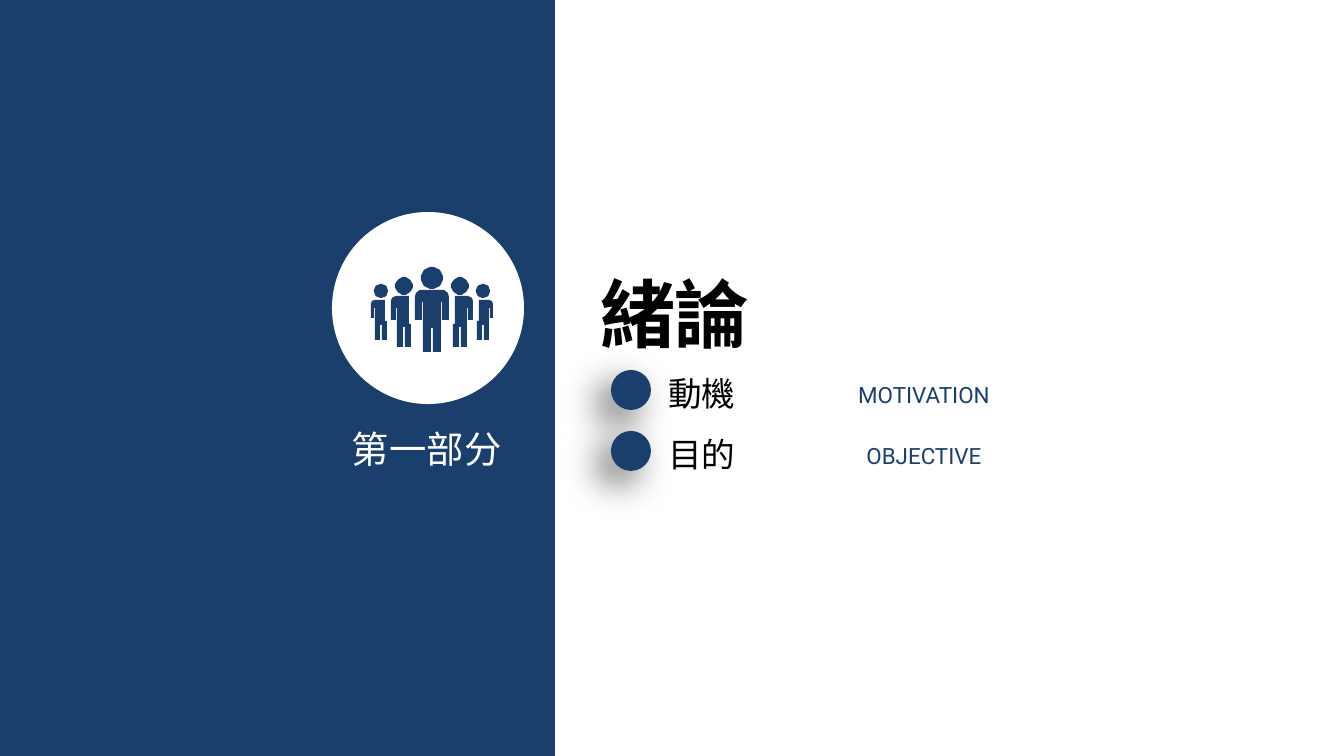
import math

import lxml.etree
import pptx
import pptx.dml.color
import pptx.enum.shapes
import pptx.enum.text
import pptx.oxml.ns
import pptx.util

PX = 914400 / 134.4
THEME = {
    "navy": "1A3F6C", "white": "FFFFFF", "black": "000000",
    "chinese": "Noto Sans CJK SC", "latin": "Roboto",
    "title": 40, "part": 20, "topic": 18, "caption": 12,
}
ALIGN = pptx.enum.text.PP_ALIGN
SHAPE = pptx.enum.shapes.MSO_SHAPE
qn = pptx.oxml.ns.qn


def paint(shape, color):
    shape.shadow.inherit = False
    shape.fill.solid()
    shape.fill.fore_color.rgb = pptx.dml.color.RGBColor.from_string(THEME[color])
    shape.line.fill.background()


def write(box, text, font, size, color, align=ALIGN.LEFT, wrap=False, inset=(13, 7), bold=False):
    frame = box.text_frame
    frame.word_wrap = wrap
    frame.auto_size = pptx.enum.text.MSO_AUTO_SIZE.SHAPE_TO_FIT_TEXT
    frame.vertical_anchor = pptx.enum.text.MSO_ANCHOR.TOP
    frame.margin_left = frame.margin_right = round(inset[0] * PX)
    frame.margin_top = frame.margin_bottom = round(inset[1] * PX)
    para = frame.paragraphs[0]
    para.alignment = align
    span = para.add_run()
    span.text = text
    span.font.name = THEME[font]
    span.font.size = pptx.util.Pt(THEME[size])
    span.font.bold = bold
    span.font.color.rgb = pptx.dml.color.RGBColor.from_string(THEME[color])
    east_asian = lxml.etree.SubElement(span.font._element, qn("a:ea"))
    east_asian.set("typeface", THEME[font])


deck = pptx.Presentation()
deck.slide_width, deck.slide_height = round(1344 * PX), round(756 * PX)
page = deck.slides.add_slide(deck.slide_layouts[5])
shapes = page.shapes

# Title
title = shapes.title
title.left, title.top, title.width, title.height = [round(n * PX) for n in (587, 261, 177, 103)]
write(title, "緒論", "chinese", "title", "black", bold=True)

# Left panel with the part number
panel = shapes.add_shape(SHAPE.RECTANGLE, 0, 0, round(555 * PX), deck.slide_height)
paint(panel, "navy")
part = shapes.add_textbox(*[round(n * PX) for n in (352, 426, 183, 46)])
write(part, "第一部分", "chinese", "part", "white", wrap=True, inset=(0, 0))
disc = shapes.add_shape(SHAPE.OVAL, *[round(n * PX) for n in (332, 212, 192, 192)])
paint(disc, "white")

# Group of people, symmetric about one vertical axis
AXIS = 432
heads = [(432, 278, 11), (404, 286, 9), (381, 291, 7)]
leader_half = [(432, 290), (444, 290), (448, 293), (449, 297), (449, 320), (442, 320),
               (442, 302), (441, 302), (441, 352), (433, 352), (433, 328), (432, 328)]
side_bodies = [
    [(411, 324), (411, 347), (405, 347), (405, 327), (403, 327), (403, 347), (397, 347),
     (397, 308), (396, 308), (396, 320), (391, 320), (391, 301), (392, 298), (396, 296),
     (409, 296), (409, 324)],
    [(387, 321), (387, 340), (382, 340), (382, 325), (380, 325), (380, 340), (375, 340),
     (375, 308), (374, 308), (374, 318), (371, 318), (371, 304), (372, 301), (375, 300),
     (385, 300), (385, 321)],
]
head_outlines = [
    [(x + r * math.cos(math.tau * i / 32), y + r * math.sin(math.tau * i / 32)) for i in range(32)]
    for x, y, r in heads
]
left_outlines = head_outlines[1:] + side_bodies
right_outlines = [[(2 * AXIS - x, y) for x, y in outline] for outline in left_outlines]
leader = leader_half + [(2 * AXIS - x, y) for x, y in reversed(leader_half)]
outlines = [head_outlines[0], leader] + left_outlines + right_outlines

builder = shapes.build_freeform(*outlines[0][0], scale=PX)
for number, outline in enumerate(outlines):
    if number:
        builder.move_to(*outline[0])
    builder.add_line_segments(outline[1:], close=True)
people = builder.convert_to_shape()
paint(people, "navy")

# Topics, one row each
ROW_TOP, ROW_STEP = 370, 61
for row, (topic, caption) in enumerate([("動機", "MOTIVATION"), ("目的", "OBJECTIVE")]):
    top = ROW_TOP + row * ROW_STEP
    topic_box = shapes.add_textbox(*[round(n * PX) for n in (655, top - 4, 95, 54)])
    write(topic_box, topic, "chinese", "topic", "black")
    caption_box = shapes.add_textbox(*[round(n * PX) for n in (840, top + 4, 168, 40)])
    write(caption_box, caption, "latin", "caption", "navy", align=ALIGN.CENTER)
    dot = shapes.add_shape(SHAPE.OVAL, *[round(n * PX) for n in (611, top, 40, 40)])
    paint(dot, "navy")
    effects = dot._element.spPr.find(qn("a:effectLst"))
    shadow = lxml.etree.SubElement(
        effects, qn("a:outerShdw"), blurRad=str(pptx.util.Pt(20)), dist=str(pptx.util.Pt(10)),
        dir=str(135 * 60000), algn="tr", rotWithShape="0")
    shade = lxml.etree.SubElement(shadow, qn("a:srgbClr"), val=THEME["black"])
    lxml.etree.SubElement(shade, qn("a:alpha"), val="60000")

deck.save("out.pptx")
